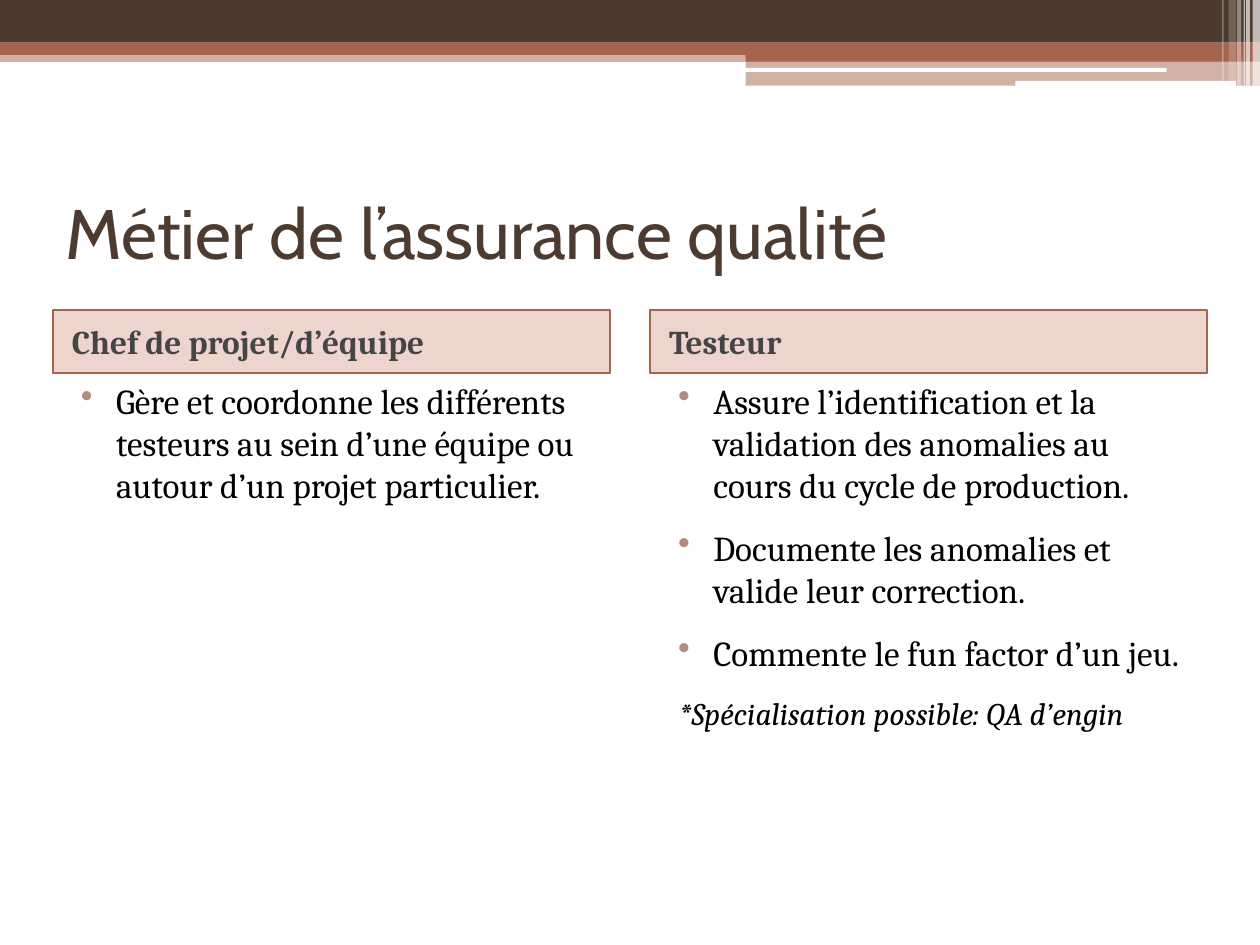
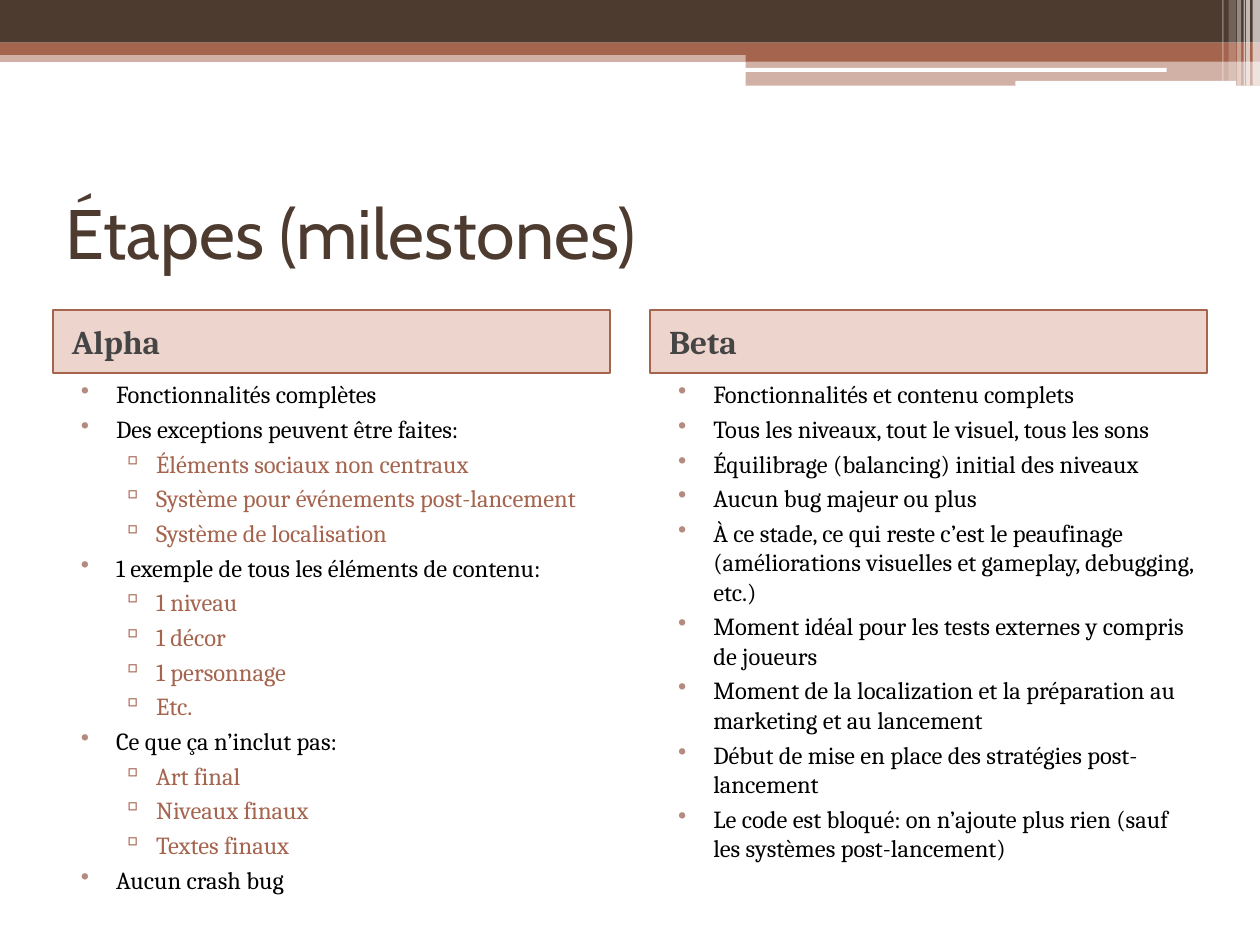
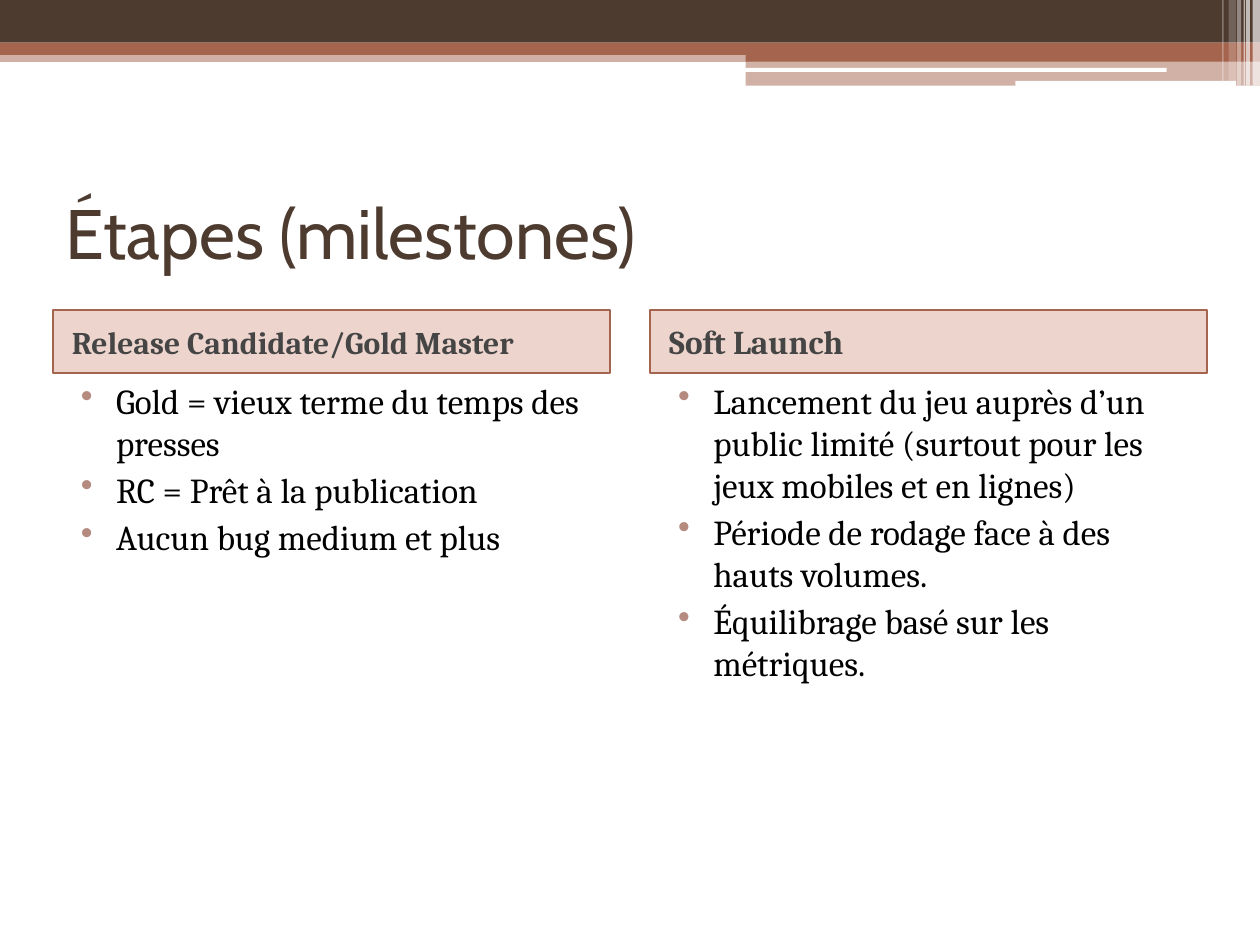
import pptx
import pptx.enum.shapes
import pptx.enum.text
import pptx.oxml
import pptx.oxml.ns
import pptx.util

Cm = pptx.util.Cm
Pt = pptx.util.Pt
qn = pptx.oxml.ns.qn
RECTANGLE = pptx.enum.shapes.MSO_SHAPE.RECTANGLE
ROUNDED = pptx.enum.shapes.MSO_SHAPE.ROUNDED_RECTANGLE
MIDDLE = pptx.enum.text.MSO_ANCHOR.MIDDLE

# Shared look
BROWN, RUST, WHITE, BLACK = "4E3B30", "A5644E", "FFFFFF", "000000"
HEADING_FILL, HEADING_TEXT = "BB5938", "454545"
TITLE_FONT, BODY_FONT = "Cabin", "Cambria"
COLUMN_LEFTS = [1.07, 13.11]
COLUMN_WIDTH = 11.23

# Decoration at the top: shape, left, top, width, height, colour, opacity
BANDS = [
    (RECTANGLE, 0, 1.02, 25.4, 0.23, RUST, 50),
    (RECTANGLE, 0, 0, 25.4, 0.86, BROWN, 100),
    (RECTANGLE, 0, 0.86, 25.4, 0.25, RUST, 100),
    (RECTANGLE, 15.03, 0.99, 10.37, 0.25, RUST, 100),
    (RECTANGLE, 15.03, 1.23, 10.37, 0.5, RUST, 50),
    (ROUNDED, 15.01, 1.37, 8.51, 0.08, WHITE, 100),
    (ROUNDED, 20.47, 1.63, 4.45, 0.1, WHITE, 100),
    (RECTANGLE, 25.25, 0, 0.15, 1.73, WHITE, 65),
    (RECTANGLE, 25.12, 0, 0.08, 1.73, WHITE, 65),
    (RECTANGLE, 25.07, 0, 0.03, 1.73, WHITE, 60),
    (RECTANGLE, 24.94, 0, 0.08, 1.73, WHITE, 40),
    (RECTANGLE, 24.77, 0, 0.15, 1.63, WHITE, 20),
    (RECTANGLE, 24.64, 0, 0.03, 1.63, WHITE, 30),
]

# Paragraph levels: left margin, indent, bullet, bullet colour, text colour
LEVELS = {
    "item": (1.02, -0.71, "•", "B58B80", BLACK),
    "detail": (1.83, -0.69, "▫", RUST, RUST),
    "note": (0.33, 0, None, None, BLACK),
}

# Content: title, then columns of heading, heading size, text size, space before, lines.
# A line that is not a plain item is a pair of level and text.
SLIDES = [
    ("Métier de l’assurance qualité", [
        ("Chef de projet/d’équipe", 19, 20, 3, [
            "Gère et coordonne les différents testeurs au sein d’une équipe ou autour d’un projet particulier.",
        ]),
        ("Testeur", 19, 20, 12, [
            "Assure l’identification et la validation des anomalies au cours du cycle de production.",
            "Documente les anomalies et valide leur correction.",
            "Commente le fun factor d’un jeu.",
            ("note", "*Spécialisation possible: QA d’engin"),
        ]),
    ]),
    ("Étapes (milestones)", [
        ("Alpha", 19, 14, 3, [
            "Fonctionnalités complètes",
            "Des exceptions peuvent être faites:",
            ("detail", "Éléments sociaux non centraux"),
            ("detail", "Système pour événements post-lancement"),
            ("detail", "Système de localisation"),
            "1 exemple de tous les éléments de contenu:",
            ("detail", "1 niveau"),
            ("detail", "1 décor"),
            ("detail", "1 personnage"),
            ("detail", "Etc."),
            "Ce que ça n’inclut pas:",
            ("detail", "Art final"),
            ("detail", "Niveaux finaux"),
            ("detail", "Textes finaux"),
            "Aucun crash bug",
        ]),
        ("Beta", 19, 14, 3, [
            "Fonctionnalités et contenu complets",
            "Tous les niveaux, tout le visuel, tous les sons",
            "Équilibrage (balancing) initial des niveaux",
            "Aucun bug majeur ou plus",
            "À ce stade, ce qui reste c’est le peaufinage "
            "(améliorations visuelles et gameplay, debugging, etc.)",
            "Moment idéal pour les tests externes y compris de joueurs",
            "Moment de la localization et la préparation au marketing et au lancement",
            "Début de mise en place des stratégies post-lancement",
            "Le code est bloqué: on n’ajoute plus rien (sauf les systèmes post-lancement)",
        ]),
    ]),
    ("Étapes (milestones)", [
        ("Release Candidate/Gold Master", 18, 20, 3, [
            "Gold = vieux terme du temps des presses",
            "RC = Prêt à la publication",
            "Aucun bug medium et plus",
        ]),
        ("Soft Launch", 19, 20, 3, [
            "Lancement du jeu auprès d’un public limité (surtout pour les jeux mobiles et en lignes)",
            "Période de rodage face à des hauts volumes.",
            "Équilibrage basé sur les métriques.",
        ]),
    ]),
]


def paint(fill, color, opacity=100):
    fill.solid()
    fill.fore_color.rgb = pptx.dml.color.RGBColor.from_string(color)
    if opacity < 100:
        color_element = fill._xPr.find(qn("a:solidFill")).find(qn("a:srgbClr"))
        alpha = pptx.oxml.xmlchemy.OxmlElement("a:alpha")
        alpha.set("val", str(opacity * 1000))
        color_element.append(alpha)


def add_run(paragraph, text, font_name, size, color, bold=False, italic=False):
    run = paragraph.add_run()
    run.text = text
    run.font.name = font_name
    run.font.size = Pt(size)
    run.font.bold = bold
    run.font.italic = italic
    paint(run.font.fill, color)


presentation = pptx.Presentation()
presentation.slide_width = Cm(25.4)
presentation.slide_height = Cm(19.05)

for title, columns in SLIDES:
    slide = presentation.slides.add_slide(presentation.slide_layouts[6])

    # Bands
    for kind, left, top, width, height, color, opacity in BANDS:
        band = slide.shapes.add_shape(kind, Cm(left), Cm(top), Cm(width), Cm(height))
        band.shadow.inherit = False
        band.line.fill.background()
        paint(band.fill, color, opacity)

    # Title
    title_box = slide.shapes.add_textbox(Cm(1.07), Cm(3.18), Cm(23.29), Cm(2.97))
    title_box.text_frame.word_wrap = True
    title_box.text_frame.vertical_anchor = MIDDLE
    add_run(title_box.text_frame.paragraphs[0], title, TITLE_FONT, 40, BROWN)

    for left, column in zip(COLUMN_LEFTS, columns):
        heading, heading_size, text_size, space_before, lines = column

        # Column heading
        heading_box = slide.shapes.add_shape(
            RECTANGLE, Cm(left), Cm(6.25), Cm(COLUMN_WIDTH), Cm(1.27))
        heading_box.shadow.inherit = False
        paint(heading_box.fill, HEADING_FILL, 25)
        paint(heading_box.line.fill, RUST)
        heading_box.line.width = Pt(1)
        heading_box.text_frame.word_wrap = True
        heading_box.text_frame.vertical_anchor = MIDDLE
        paragraph = heading_box.text_frame.paragraphs[0]
        paragraph.alignment = pptx.enum.text.PP_ALIGN.LEFT
        paragraph._p.get_or_add_pPr().set("marL", str(Cm(0.13)))
        add_run(paragraph, heading, BODY_FONT, heading_size, HEADING_TEXT, bold=True)

        # Column text
        body_box = slide.shapes.add_textbox(
            Cm(left), Cm(7.52), Cm(COLUMN_WIDTH), Cm(10.8))
        body_box.text_frame.word_wrap = True
        for index, line in enumerate(lines):
            level, text = ("item", line) if isinstance(line, str) else line
            margin, indent, bullet, bullet_color, text_color = LEVELS[level]
            if index == 0:
                paragraph = body_box.text_frame.paragraphs[0]
            else:
                paragraph = body_box.text_frame.add_paragraph()
                paragraph.space_before = Pt(space_before)
            properties = paragraph._p.get_or_add_pPr()
            properties.set("marL", str(Cm(margin)))
            properties.set("indent", str(Cm(indent)))
            if bullet:
                color_element = pptx.oxml.xmlchemy.OxmlElement("a:buClr")
                value = pptx.oxml.xmlchemy.OxmlElement("a:srgbClr")
                value.set("val", bullet_color)
                color_element.append(value)
                character = pptx.oxml.xmlchemy.OxmlElement("a:buChar")
                character.set("char", bullet)
                properties.extend([color_element, character])
            if level == "detail":
                paragraph.level = 1
            is_note = level == "note"
            add_run(paragraph, text, BODY_FONT, 18 if is_note else text_size,
                    text_color, italic=is_note)

presentation.save("out.pptx")
